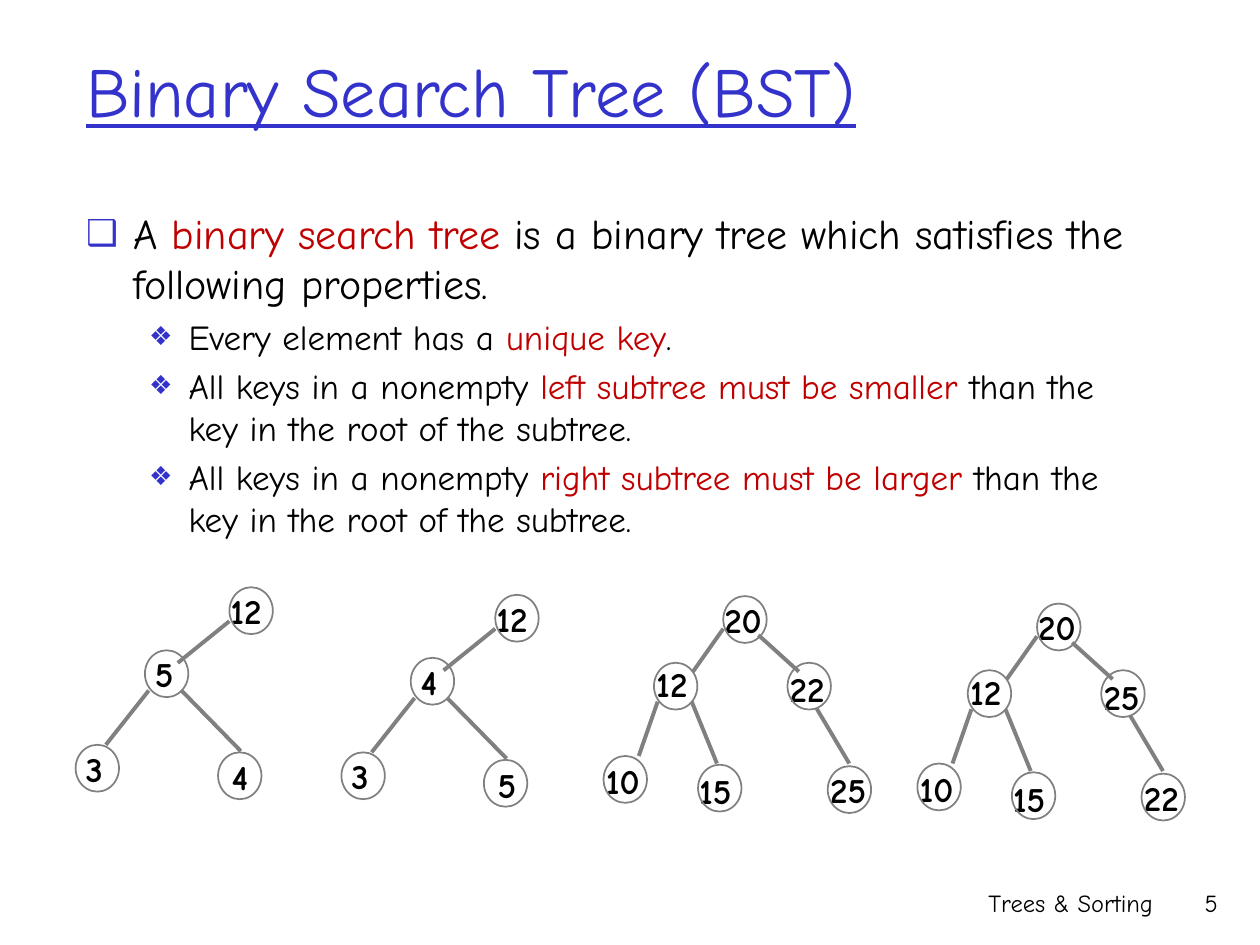
from typing import NamedTuple

from lxml import etree
from pptx import Presentation
from pptx.dml.color import RGBColor
from pptx.enum.shapes import MSO_CONNECTOR, MSO_SHAPE
from pptx.enum.text import MSO_ANCHOR, MSO_AUTO_SIZE, PP_ALIGN
from pptx.oxml.ns import qn
from pptx.util import Pt

LINE = MSO_CONNECTOR.STRAIGHT
OVAL = MSO_SHAPE.OVAL
LEFT, RIGHT = PP_ALIGN.LEFT, PP_ALIGN.RIGHT
MIDDLE, TOP = MSO_ANCHOR.MIDDLE, MSO_ANCHOR.TOP
GROW, FIXED = MSO_AUTO_SIZE.SHAPE_TO_FIT_TEXT, MSO_AUTO_SIZE.NONE

BLACK = RGBColor(0, 0, 0)
BLUE = RGBColor(0x33, 0x33, 0xCC)
RED = RGBColor(0xC0, 0, 0)
GRAY = RGBColor(0x80, 0x80, 0x80)
FACE = "Comic Neue"


class Node(NamedTuple):
    x: float
    y: float
    tx: float
    ty: float


class Edge(NamedTuple):
    x1: float
    y1: float
    x2: float
    y2: float


class Form(NamedTuple):
    nodes: list[Node]
    edges: list[Edge]


class Tree(NamedTuple):
    form: Form
    x: float
    y: float
    keys: list[str]


class Style(NamedTuple):
    mark: str
    scale: int
    margin: float
    indent: float
    size: float


class Item(NamedTuple):
    level: int
    head: str
    key: str
    tail: str


SMALL = Form(
    [Node(89.3, 2.2, 82.8, 0), Node(41, 38.2, 39.6, 36),
     Node(1.4, 92.2, 0, 90), Node(82.8, 96.5, 83.5, 95)],
    [Edge(43.2, 61.2, 18.7, 92.2), Edge(89.3, 21.6, 59.8, 45.4),
     Edge(61.9, 61.2, 95.8, 95.8)])
LARGE = Form(
    [Node(74.2, 2.2, 67.7, 0), Node(34.6, 40.3, 28.8, 36.7),
     Node(5.8, 93.6, 0, 92.2), Node(59.8, 98.6, 53.3, 97.9),
     Node(110.9, 40.3, 105.1, 39.6), Node(133.9, 99.4, 128.2, 97.2)],
    [Edge(36.7, 62.6, 25.9, 93.6), Edge(74.2, 20.9, 56.9, 45.4),
     Edge(56.2, 62.6, 70.6, 97.9), Edge(94.3, 24.5, 117.4, 45.4),
     Edge(127.4, 66.2, 146.2, 97.9)])
TREES = [
    Tree(SMALL, 41.8, 333.4, ["12", "5", "3", "4"]),
    Tree(SMALL, 193.7, 337.7, ["12", "4", "3", "5"]),
    Tree(LARGE, 339.1, 338.4, ["20", "12", "10", "15", "22", "25"]),
    Tree(LARGE, 518.4, 342.7, ["20", "12", "10", "15", "25", "22"]),
]
STYLES = [Style("❑", 85, 27, -27, 24), Style("❖", 75, 58.5, -22.5, 20)]
ITEMS = [
    Item(0, "A ", "binary search tree",
         " is a binary tree which satisfies the following properties."),
    Item(1, "Every element has a ", "unique key", "."),
    Item(1, "All keys in a nonempty ", "left subtree must be smaller",
         " than the key in the root of the subtree."),
    Item(1, "All keys in a nonempty ", "right subtree must be larger",
         " than the key in the root of the subtree."),
]


def place(shape, x: float, y: float, w: float, h: float) -> None:
    shape.left, shape.top = Pt(x), Pt(y)
    shape.width, shape.height = Pt(w), Pt(h)


def style(para, size: float, color: RGBColor = BLACK) -> None:
    para.font.name = FACE
    para.font.size = Pt(size)
    para.font.color.rgb = color


def add_text(shapes, text: str, x: float, y: float, w: float, h: float,
             size: float):
    box = shapes.add_textbox(Pt(x), Pt(y), Pt(w), Pt(h))
    para = box.text_frame.paragraphs[0]
    para.text = text
    style(para, size)
    return box.text_frame


def add_node(shapes, key: str, x: float, y: float, node: Node) -> None:
    width = 39.6 if len(key) > 1 else 27
    frame = add_text(shapes, key, x + node.tx, y + node.ty, width, 31.7, 20)
    frame.word_wrap = False
    frame.auto_size = GROW
    frame.paragraphs[0].font.bold = True
    ring = shapes.add_shape(OVAL, Pt(x + node.x), Pt(y + node.y),
                            Pt(24.8), Pt(26.8))
    ring.shadow.inherit = False
    ring.fill.background()
    ring.line.color.rgb = GRAY
    ring.line.width = Pt(1)


def add_edge(shapes, x: float, y: float, edge: Edge) -> None:
    line = shapes.add_connector(LINE, Pt(x + edge.x1), Pt(y + edge.y1),
                                Pt(x + edge.x2), Pt(y + edge.y2))
    line.line.color.rgb = GRAY
    line.line.width = Pt(2.25)
    etree.SubElement(line._element.spPr, qn("a:effectLst"))


def add_tree(shapes, tree: Tree) -> None:
    group = shapes.add_group_shape().shapes
    for edge in tree.form.edges:
        add_edge(group, tree.x, tree.y, edge)
    for key, node in zip(tree.keys, tree.form.nodes):
        add_node(group, key, tree.x, tree.y, node)


def add_item(para, item: Item) -> None:
    look = STYLES[item.level]
    para.level = item.level
    para.space_before = Pt(look.size * 0.2)
    props = para._p.get_or_add_pPr()
    props.set("marL", str(Pt(look.margin)))
    props.set("indent", str(Pt(look.indent)))
    tint = etree.SubElement(props, qn("a:buClr"))
    etree.SubElement(tint, qn("a:srgbClr"), val=str(BLUE))
    etree.SubElement(props, qn("a:buSzPct"), val=str(look.scale * 1000))
    etree.SubElement(props, qn("a:buChar"), char=look.mark)
    style(para, look.size)
    for text, color in ((item.head, BLACK), (item.key, RED),
                        (item.tail, BLACK)):
        run = para.add_run()
        run.text = text
        run.font.color.rgb = color


def main() -> None:
    deck = Presentation()
    deck.slide_width, deck.slide_height = Pt(720), Pt(540)
    slide = deck.slides.add_slide(deck.slide_layouts[1])
    shapes = slide.shapes

    title = shapes.title
    place(title, 42, 18, 612, 66)
    title.text_frame.auto_size = FIXED
    title.text_frame.vertical_anchor = MIDDLE
    para = title.text_frame.paragraphs[0]
    para.text = "Binary Search Tree (BST)"
    para.alignment = LEFT
    style(para, 40, BLUE)
    para.font.underline = True

    body = slide.placeholders[1]
    place(body, 42, 115, 612, 366)
    frame = body.text_frame
    frame.auto_size = FIXED
    frame.vertical_anchor = TOP
    for i, item in enumerate(ITEMS):
        add_item(frame.add_paragraph() if i else frame.paragraphs[0], item)

    for text, x, width in (("Trees & Sorting", 438, 228), ("5", 654, 49)):
        foot = add_text(shapes, text, x, 504, width, 36, 14)
        foot.word_wrap = True
        foot.paragraphs[0].alignment = RIGHT

    for tree in TREES:
        add_tree(shapes, tree)

    deck.save("out.pptx")


if __name__ == "__main__":
    main()
